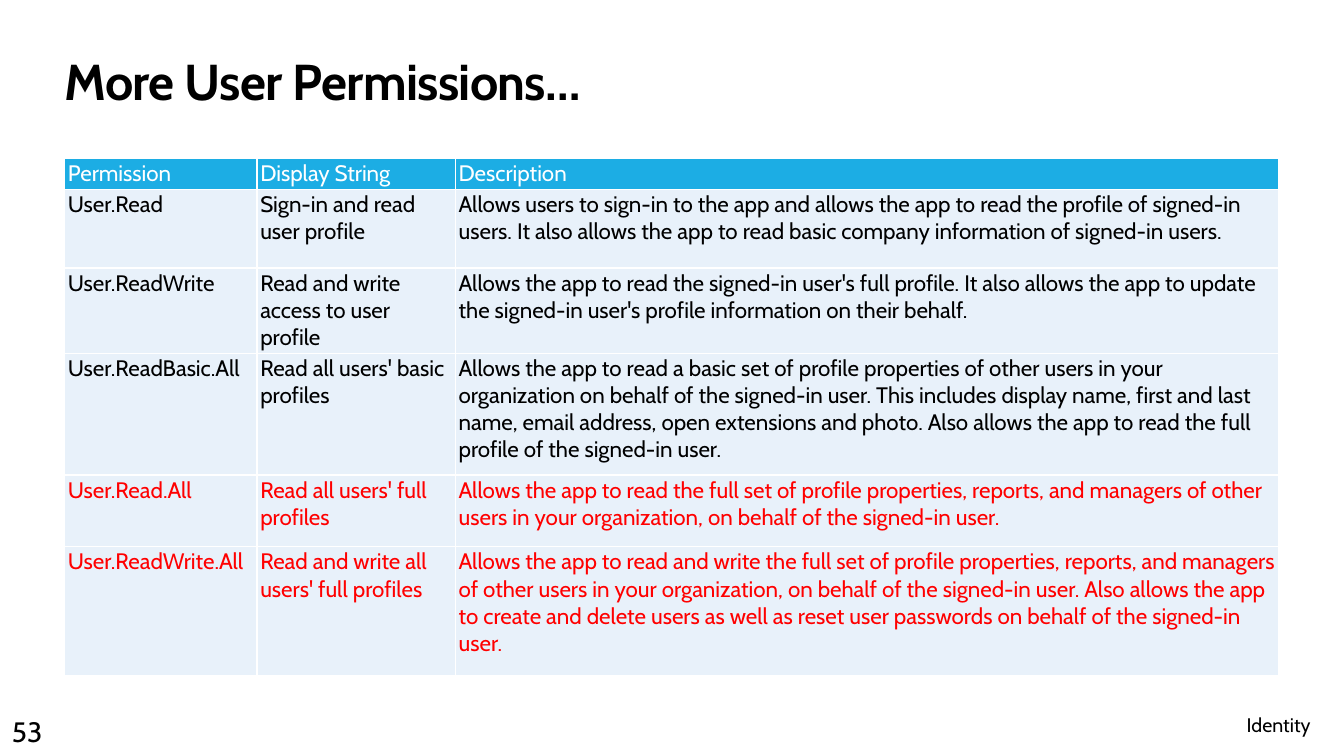
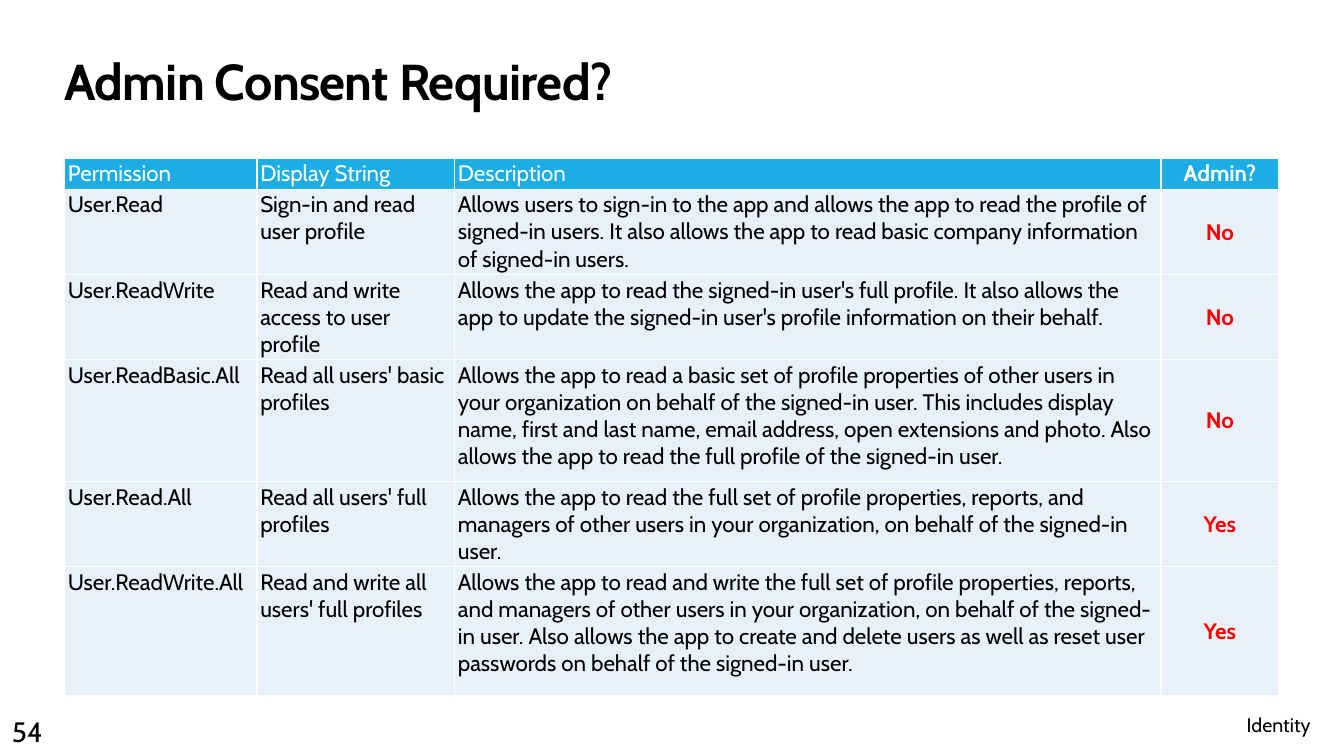
from pptx import Presentation
from pptx.dml.color import RGBColor
from pptx.enum.text import MSO_ANCHOR, MSO_AUTO_SIZE, PP_ALIGN
from pptx.util import Cm, Pt

# Shared style
FONT = "Cabin"
BLACK = RGBColor(0x00, 0x00, 0x00)
WHITE = RGBColor(0xFF, 0xFF, 0xFF)
RED = RGBColor(0xFF, 0x00, 0x00)
HEADER_BLUE = RGBColor(0x1C, 0xAD, 0xE4)
ROW_BLUE = RGBColor(0xE8, 0xF1, 0xFA)
TOP, MIDDLE, BOTTOM = MSO_ANCHOR.TOP, MSO_ANCHOR.MIDDLE, MSO_ANCHOR.BOTTOM
LEFT, CENTER = PP_ALIGN.LEFT, PP_ALIGN.CENTER
NO_AUTOFIT = MSO_AUTO_SIZE.NONE

TITLE_ONLY = 5
MARGIN_LEFT = Cm(1.63)
CONTENT_WIDTH = Cm(30.6)
ROW_HEIGHTS = [Cm(0.51), Cm(1.98), Cm(1.63), Cm(3.07), Cm(1.8), Cm(3.25)]

# Table content
HEADER = ["Permission", "Display String", "Description"]
PERMISSIONS = [
    ["User.Read", "Sign-in and read user profile",
     "Allows users to sign-in to the app and allows the app to read the "
     "profile of signed-in users. It also allows the app to read basic "
     "company information of signed-in users."],
    ["User.ReadWrite", "Read and write access to user profile",
     "Allows the app to read the signed-in user's full profile. It also "
     "allows the app to update the signed-in user's profile information on "
     "their behalf."],
    ["User.ReadBasic.All", "Read all users' basic profiles",
     "Allows the app to read a basic set of profile properties of other "
     "users in your organization on behalf of the signed-in user. This "
     "includes display name, first and last name, email address, open "
     "extensions and photo. Also allows the app to read the full profile of "
     "the signed-in user."],
    ["User.Read.All", "Read all users' full profiles",
     "Allows the app to read the full set of profile properties, reports, "
     "and managers of other users in your organization, on behalf of the "
     "signed-in user."],
    ["User.ReadWrite.All", "Read and write all users' full profiles",
     "Allows the app to read and write the full set of profile properties, "
     "reports, and managers of other users in your organization, on behalf "
     "of the signed-in user. Also allows the app to create and delete users "
     "as well as reset user passwords on behalf of the signed-in user."],
]
ADMIN_COLUMN = ["Admin?", "No", "No", "No", "Yes", "Yes"]
ADMIN_INDEX = len(HEADER)

permission_rows = [HEADER] + PERMISSIONS
consent_rows = [row + [admin] for row, admin in zip(permission_rows, ADMIN_COLUMN)]

# Page number, title, column widths, rows, rows set in red
SLIDES = [
    (53, "More User Permissions…", [Cm(4.85), Cm(5), Cm(20.75)],
     permission_rows, {4, 5}),
    (54, "Admin Consent Required?", [Cm(4.85), Cm(4.98), Cm(17.8), Cm(2.97)],
     consent_rows, set()),
]


def write_text(frame, text, size, color=BLACK, bold=False, align=LEFT):
    paragraph = frame.paragraphs[0]
    paragraph.alignment = align
    run = paragraph.add_run()
    run.text = text
    run.font.name = FONT
    run.font.size = Pt(size)
    run.font.bold = bold
    run.font.color.rgb = color
    return run


def clear_frame(frame):
    frame.margin_left = frame.margin_right = 0
    frame.margin_top = frame.margin_bottom = 0
    frame.vertical_anchor = TOP
    frame.word_wrap = True
    frame.auto_size = NO_AUTOFIT


presentation = Presentation()
presentation.slide_width = Cm(33.87)
presentation.slide_height = Cm(19.05)

for page_number, title_text, column_widths, rows, red_rows in SLIDES:
    slide = presentation.slides.add_slide(presentation.slide_layouts[TITLE_ONLY])

    # Title
    title = slide.shapes.title
    title.left, title.top = MARGIN_LEFT, Cm(1.27)
    title.width, title.height = CONTENT_WIDTH, Cm(1.55)
    clear_frame(title.text_frame)
    title_run = write_text(title.text_frame, title_text, 36, bold=True)
    title_run._r.get_or_add_rPr().set("spc", "-50")

    # Page number and section name
    for text, size, left, top, width, height in (
        (str(page_number), 20, Cm(0.3), Cm(18), Cm(1.2), Cm(0.87)),
        ("Identity", 14, Cm(31.42), Cm(17.96), Cm(2), Cm(0.6)),
    ):
        footer = slide.shapes.add_textbox(left, top, width, height)
        clear_frame(footer.text_frame)
        write_text(footer.text_frame, text, size)

    # Permissions table
    table = slide.shapes.add_table(
        len(rows), len(column_widths), MARGIN_LEFT, Cm(3.99),
        CONTENT_WIDTH, sum(ROW_HEIGHTS)).table
    table.horz_banding = False
    for column, width in zip(table.columns, column_widths):
        column.width = width
    for row, height in zip(table.rows, ROW_HEIGHTS):
        row.height = height

    for row_index, row_texts in enumerate(rows):
        is_header = row_index == 0
        for column_index, text in enumerate(row_texts):
            is_admin = column_index == ADMIN_INDEX
            cell = table.cell(row_index, column_index)
            cell.margin_left = cell.margin_right = Cm(0.08)
            cell.margin_top = cell.margin_bottom = Cm(0.05)
            cell.fill.solid()
            cell.fill.fore_color.rgb = HEADER_BLUE if is_header else ROW_BLUE
            if is_admin:
                cell.vertical_anchor = MIDDLE
            else:
                cell.vertical_anchor = BOTTOM if is_header else TOP
            if is_header:
                color = WHITE
            else:
                color = RED if is_admin or row_index in red_rows else BLACK
            write_text(cell.text_frame, text, 16, color, bold=is_admin,
                       align=CENTER if is_admin else LEFT)

presentation.save("out.pptx")
